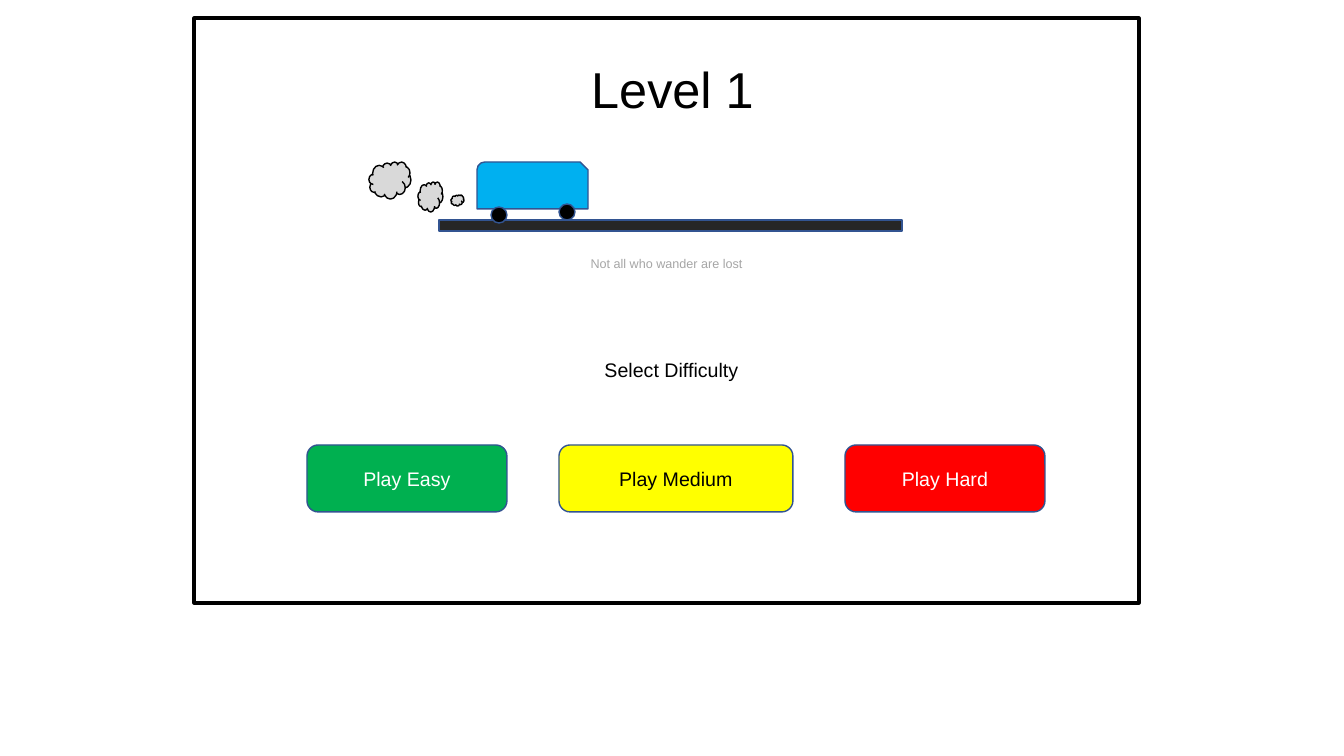
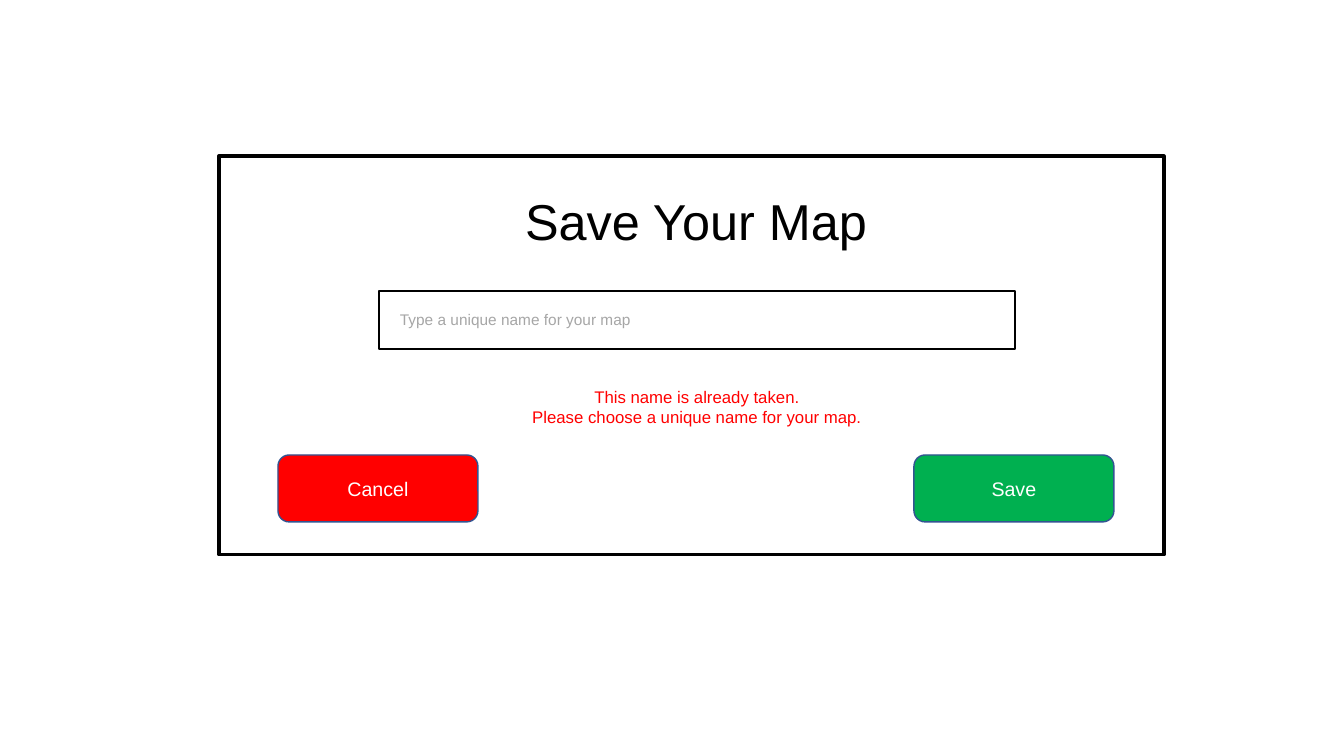
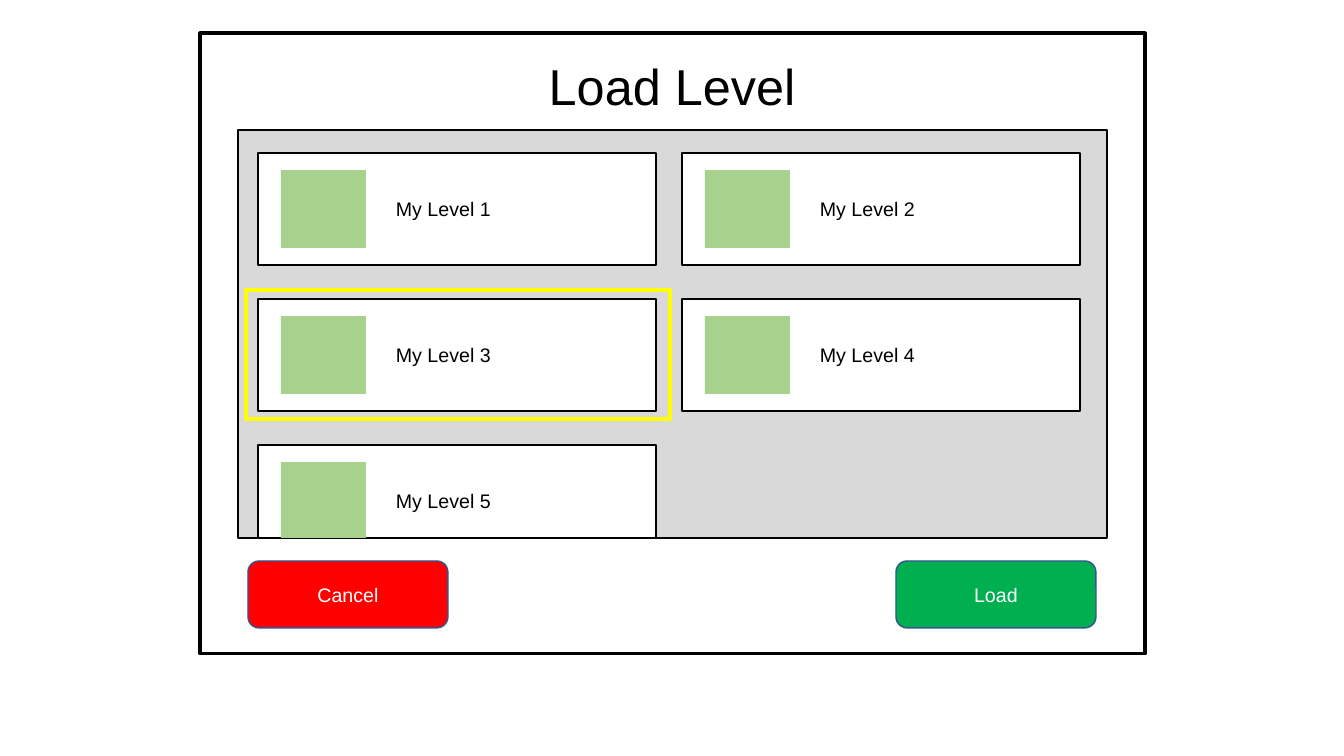
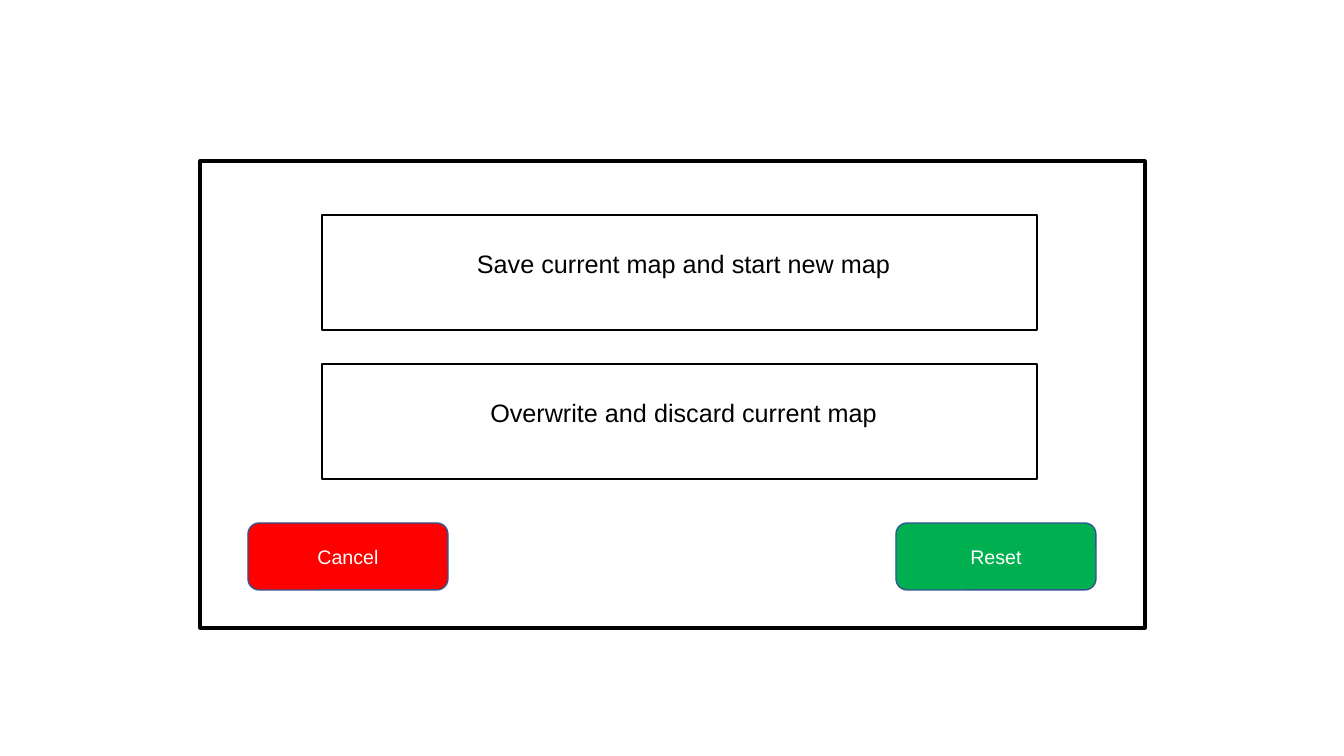
from pptx import Presentation
from pptx import util as u
from pptx.dml.color import RGBColor
from pptx.enum import shapes, text

PX = 914400 / 100.8
FONT = "Arial"
BLACK, WHITE, GREY, PALE = "000000", "FFFFFF", "A6A6A6", "D9D9D9"
GREEN, YELLOW, RED, OUTLINE = "00B050", "FFFF00", "FF0000", "325491"
SKY, ASPHALT, LEAF = "00B0F0", "262626", "A9D18E"
FRAME_W = 945
BUTTON_W, BUTTON_H = 200, 67
KIND = shapes.MSO_SHAPE
ALIGN = text.PP_ALIGN
ANCHOR = text.MSO_ANCHOR


def px(n):
    return u.Emu(round(n * PX))


def rgb(code):
    return RGBColor.from_string(code)


def place(sp, x, y, w, h):
    sp.left, sp.top, sp.width, sp.height = px(x), px(y), px(w), px(h)


def write(sp, lines, size, color, align=ALIGN.CENTER, anchor=ANCHOR.TOP, first_spacing=1.0):
    tf = sp.text_frame
    tf.word_wrap = True
    tf.auto_size = text.MSO_AUTO_SIZE.NONE
    tf.vertical_anchor = anchor
    for i, line in enumerate(lines):
        p = tf.add_paragraph() if i else tf.paragraphs[0]
        p.alignment = align
        p.line_spacing = 1.0 if i else first_spacing
        r = p.add_run()
        r.text = line
        r.font.name = FONT
        r.font.size = u.Pt(size)
        r.font.color.rgb = rgb(color)


def shape(s, kind, x, y, w, h, fill=None, line=None, weight=1):
    sp = s.shapes.add_shape(kind, px(x), px(y), px(w), px(h))
    sp.shadow.inherit = False
    if fill:
        sp.fill.solid()
        sp.fill.fore_color.rgb = rgb(fill)
    else:
        sp.fill.background()
    if line:
        sp.line.color.rgb = rgb(line)
        sp.line.width = u.Pt(weight)
    else:
        sp.line.fill.background()
    return sp


def label(s, lines, x, y, w, h, size, color=BLACK, **style):
    sp = s.shapes.add_textbox(px(x), px(y), px(w), px(h))
    write(sp, lines, size, color, **style)


def title(s, words, x, y, w):
    sp = s.shapes.title
    place(sp, x, y, w, 72)
    write(sp, [words], 36, BLACK)


def dialog(prs, layout, x, y, h):
    s = prs.slides.add_slide(prs.slide_layouts.get_by_name(layout))
    shape(s, KIND.RECTANGLE, x, y, FRAME_W, h, line=BLACK, weight=2.25)
    return s


def button(s, words, x, y, fill, color=WHITE, w=BUTTON_W):
    sp = shape(s, KIND.ROUNDED_RECTANGLE, x, y, w, BUTTON_H, fill, OUTLINE)
    write(sp, [words], 14, color, anchor=ANCHOR.MIDDLE)


def action_row(s, confirm, x, y, w):
    button(s, "Cancel", x, y, RED)
    button(s, confirm, x + w - BUTTON_W, y, GREEN)


def difficulty_row(s, x, y, gap=52):
    for words, w, fill, color in (
        ("Play Easy", BUTTON_W, GREEN, WHITE),
        ("Play Medium", 234, YELLOW, BLACK),
        ("Play Hard", BUTTON_W, RED, WHITE),
    ):
        button(s, words, x, y, fill, color, w)
        x += w + gap


def van_scene(s, x, y):
    shape(s, KIND.SNIP_ROUND_RECTANGLE, x + 108, y, 111, 47, SKY, OUTLINE)
    shape(s, KIND.RECTANGLE, x + 70, y + 58, 463, 11, ASPHALT, OUTLINE)
    for dx, dy in ((122, 45), (190, 42)):
        shape(s, KIND.OVAL, x + dx, y + dy, 16, 16, BLACK, OUTLINE)
    for dx, dy, w, h in ((0, 0, 42, 37), (82, 33, 13, 11), (49, 20, 25, 30)):
        shape(s, KIND.CLOUD, x + dx, y + dy, w, h, PALE, BLACK)


def level_card(s, words, x, y, bottom):
    shape(s, KIND.RECTANGLE, x, y, 398, min(112, bottom - y), WHITE, BLACK)
    thumb_y = y + 17
    shape(s, KIND.RECTANGLE, x + 23, thumb_y, 85, min(78, bottom - thumb_y), LEAF)
    label(s, [words], x + 128, y + 39, 237, 34, 14, align=ALIGN.LEFT)


def level_list(s, x, y, w, h, count, selected):
    shape(s, KIND.RECTANGLE, x, y, w, h, PALE, BLACK, 1.5)
    for i in range(count):
        row, col = divmod(i, 2)
        card_x, card_y = x + 20 + 424 * col, y + 23 + 146 * row
        level_card(s, f"My Level {i + 1}", card_x, card_y, y + h)
        if i + 1 == selected:
            shape(s, KIND.RECTANGLE, card_x - 12, card_y - 9, 424, 129, line=YELLOW, weight=3)


def name_field(s, x, y):
    shape(s, KIND.RECTANGLE, x, y, 636, 58, line=BLACK, weight=1.5)
    label(s, ["Type a unique name for your map"], x + 11, y + 14, 456, 29, 11, GREY, align=ALIGN.LEFT)


def option(s, words, x, y):
    shape(s, KIND.RECTANGLE, x, y, 715, 115, line=BLACK, weight=2)
    label(s, [words], x + 9, y + 13, 705, 96, 18, first_spacing=1.5)


def level_slide(prs, x, y):
    s = dialog(prs, "Title Only", x, y, 585)
    title(s, "Level 1", x + 311, y + 35, 335)
    van_scene(s, x + 175, y + 144)
    label(s, ["Not all who wander are lost"], x + 297, y + 233, 351, 25, 9, GREY)
    label(s, ["Select Difficulty"], x + 246, y + 335, 463, 34, 14)
    difficulty_row(s, x + 113, y + 427)


def save_slide(prs, x, y):
    s = dialog(prs, "Title Only", x, y, 399)
    title(s, "Save Your Map", x + 149, y + 29, 656)
    name_field(s, x + 160, y + 135)
    label(
        s,
        ["This name is already taken.", "Please choose a unique name for your map."],
        x + 154, y + 216, 648, 61, 12, RED, first_spacing=1.5,
    )
    action_row(s, "Save", x + 59, y + 299, 836)


def load_slide(prs, x, y):
    s = dialog(prs, "Title Only", x, y, 621)
    title(s, "Load Level", x + 216, y + 17, 512)
    level_list(s, x + 38, y + 97, 869, 408, count=5, selected=3)
    action_row(s, "Load", x + 48, y + 528, 848)


def reset_slide(prs, x, y):
    s = dialog(prs, "Blank", x, y, 467)
    for i, words in enumerate(("Save current map and start new map", "Overwrite and discard current map")):
        option(s, words, x + 122, y + 54 + 149 * i)
    action_row(s, "Reset", x + 48, y + 362, 848)


prs = Presentation()
prs.slide_width, prs.slide_height = px(1344), px(756)
level_slide(prs, 194, 18)
save_slide(prs, 219, 156)
load_slide(prs, 200, 33)
reset_slide(prs, 200, 161)
prs.save("out.pptx")
